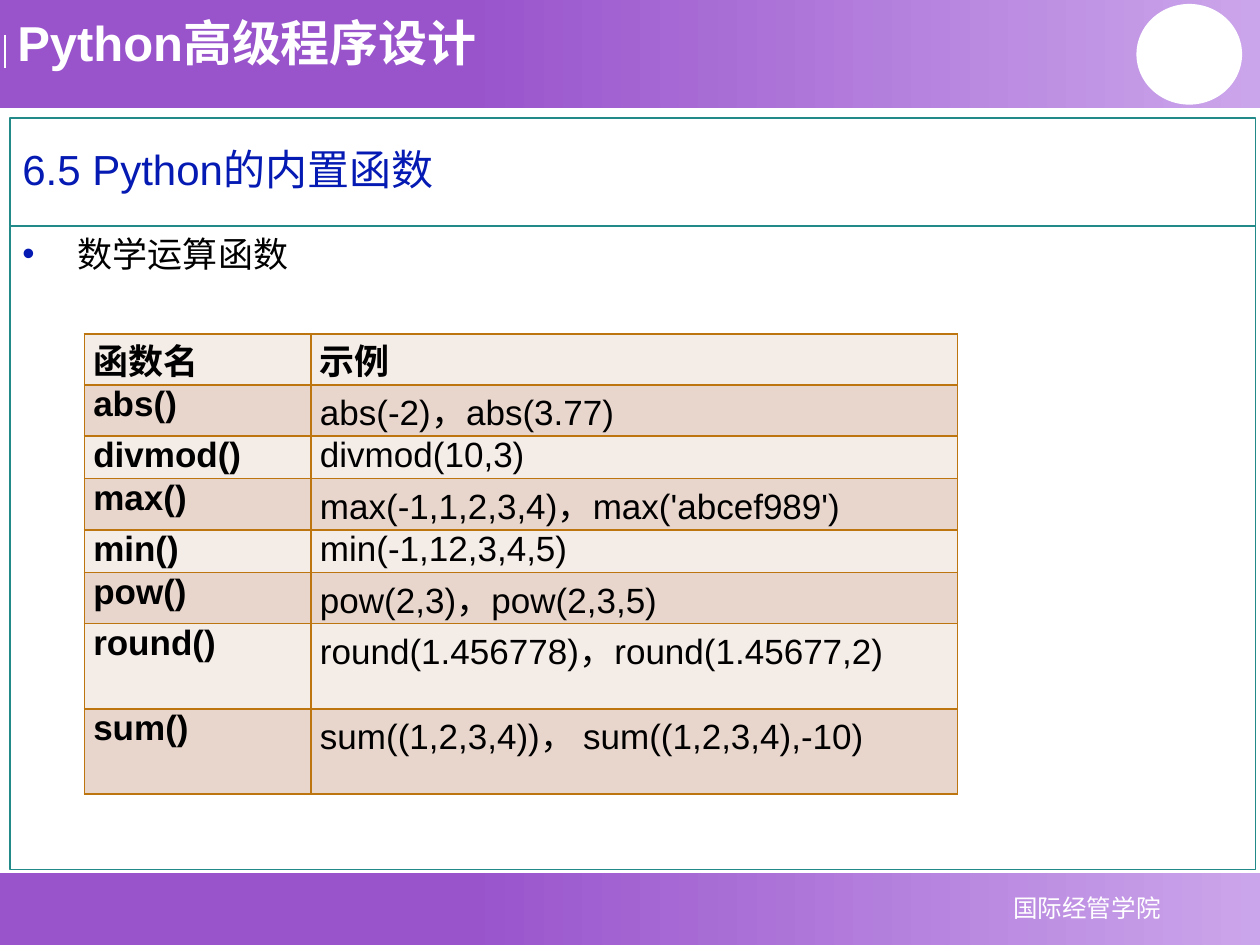
from lxml.etree import SubElement
from pptx import Presentation
from pptx.dml.color import RGBColor
from pptx.enum.shapes import MSO_CONNECTOR, MSO_SHAPE
from pptx.enum.text import MSO_ANCHOR, PP_ALIGN
from pptx.oxml.ns import qn
from pptx.util import Cm, Pt


def color(value):
    return RGBColor.from_string(value)


def write(frame, text, hue, font_format, paragraph_format, frame_format):
    paragraph = frame.paragraphs[0]
    run = paragraph.add_run()
    run.text = text
    run.font.color.rgb = color(hue)
    for target, values in (
        (run.font, {"name": "Arial", **font_format}),
        (paragraph, paragraph_format),
        (frame, {"word_wrap": True, **frame_format}),
    ):
        for name, value in values.items():
            setattr(target, name, value)
    return paragraph


deck = Presentation()
deck.slide_width, deck.slide_height = Cm(25.4), Cm(19.05)
slide = deck.slides.add_slide(deck.slide_layouts[6])
shapes = slide.shapes

for top, height in ((17.6, 1.45), (0, 2.18)):
    band = shapes.add_shape(MSO_SHAPE.RECTANGLE, 0, Cm(top), Cm(25.4), Cm(height))
    band.shadow.inherit = False
    band.line.fill.background()
    band.fill.gradient()
    band.fill.gradient_angle = 0
    for stop, position, hue in zip(band.fill.gradient_stops, (0.37, 1), ("9954CC", "CBA5EB")):
        stop.position = position
        stop.color.rgb = color(hue)

header_tick = shapes.add_connector(MSO_CONNECTOR.STRAIGHT, Cm(0.1), Cm(0.71), Cm(0.1), Cm(1.37))
header_tick.line.color.rgb = color("FFFFFF")
header_tick.line.width = Pt(0.75)
SubElement(header_tick._element.spPr, qn("a:effectLst"))

school = shapes.add_textbox(Cm(18.97), Cm(17.86), Cm(5.89), Cm(0.86))
write(school.text_frame, "国际经管学院", "FFFFFF", {"size": Pt(14)},
      {"alignment": PP_ALIGN.CENTER}, {"vertical_anchor": MSO_ANCHOR.MIDDLE})

course = shapes.add_textbox(Cm(0.1), Cm(0.13), Cm(10.41), Cm(1.45))
write(course.text_frame, "Python高级程序设计", "FFFFFF", {"size": Pt(28), "bold": True},
      {}, {"word_wrap": False})

emblem = shapes.add_shape(MSO_SHAPE.OVAL, Cm(22.91), Cm(0.08), Cm(2.13), Cm(2.03))
emblem.shadow.inherit = False
emblem.fill.solid()
emblem.fill.fore_color.rgb = color("FFFFFF")
emblem.line.fill.background()

panels = (
    (2.38, 2.18, "6.5 Python的内置函数", "051AB3", 24, MSO_ANCHOR.MIDDLE, {"line_spacing": 0.9}),
    (4.56, 12.97, "数学运算函数", "000000", 20, MSO_ANCHOR.TOP, {}),
)
for top, height, text, hue, size, anchor, spacing in panels:
    panel = shapes.add_shape(MSO_SHAPE.RECTANGLE, Cm(0.2), Cm(top), Cm(25.11), Cm(height))
    panel.shadow.inherit = False
    panel.fill.background()
    panel.line.color.rgb = color("228A88")
    panel.line.width = Pt(0.75)
    topic = write(panel.text_frame, text, hue, {"size": Pt(size)},
                  {"alignment": PP_ALIGN.LEFT, **spacing}, {"vertical_anchor": anchor})

bullet = topic._p.get_or_add_pPr()
bullet.set("marL", str(Cm(1.12)))
bullet.set("indent", str(-Cm(1.12)))
SubElement(SubElement(bullet, qn("a:buClr")), qn("a:srgbClr"), val="051AB3")
SubElement(bullet, qn("a:buFont"), typeface="Arial")
SubElement(bullet, qn("a:buChar"), char="•")

functions = (
    ("函数名", "示例", 1.03),
    ("abs()", "abs(-2)，abs(3.77)", 1.03),
    ("divmod()", "divmod(10,3)", 0.86),
    ("max()", "max(-1,1,2,3,4)，max('abcef989')", 1.03),
    ("min()", "min(-1,12,3,4,5)", 0.86),
    ("pow()", "pow(2,3)，pow(2,3,5)", 1.03),
    ("round()", "round(1.456778)，round(1.45677,2)", 1.72),
    ("sum()", "sum((1,2,3,4))， sum((1,2,3,4),-10)", 1.72),
)
table_height = sum(height for _, _, height in functions)
function_table = shapes.add_table(len(functions), 2, Cm(1.7), Cm(6.73), Cm(17.6), Cm(table_height)).table
function_table.first_row = False
function_table.horz_banding = False
for column, width in zip(function_table.columns, (4.57, 13.03)):
    column.width = Cm(width)

cell_paragraph = {"alignment": PP_ALIGN.JUSTIFY, "space_before": Pt(1.2), "space_after": Pt(1.2)}
cell_margins = {"margin_left": Cm(0.18), "margin_right": Cm(0.18), "margin_top": 0, "margin_bottom": 0}
for row, (function, example, height) in enumerate(functions):
    function_table.rows[row].height = Cm(height)
    for column, text in enumerate((function, example)):
        cell = function_table.cell(row, column)
        for name, value in cell_margins.items():
            setattr(cell, name, value)
        properties = cell._tc.get_or_add_tcPr()
        for side in ("a:lnL", "a:lnR", "a:lnT", "a:lnB"):
            border = SubElement(properties, qn(side), w=str(Pt(1)))
            SubElement(SubElement(border, qn("a:solidFill")), qn("a:srgbClr"), val="BD7510")
        cell.fill.solid()
        cell.fill.fore_color.rgb = color("E8D6CC" if row % 2 else "F4ECE7")
        write(cell.text_frame, text, "000000",
              {"size": Pt(20), "bold": row == 0 or column == 0}, cell_paragraph, {})

deck.save("out.pptx")
